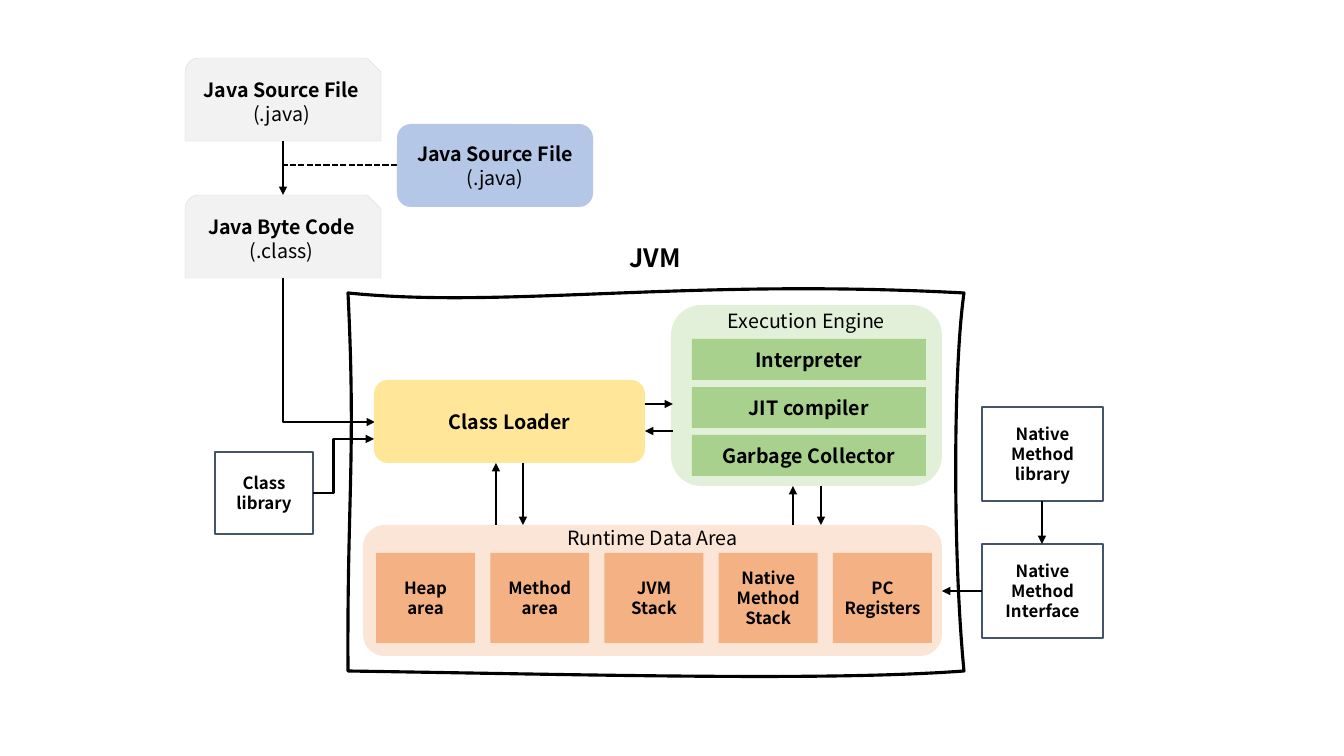
from lxml import etree
from pptx import Presentation
from pptx.dml.color import RGBColor
from pptx.enum.dml import MSO_LINE
from pptx.enum.shapes import MSO_CONNECTOR as LINK, MSO_SHAPE as SHAPE
from pptx.enum.text import MSO_ANCHOR as ANCHOR, PP_ALIGN as ALIGN
from pptx.oxml.ns import qn
from pptx.util import Pt

PIXEL = 914400 / 100.8
FONT = "Noto Sans CJK KR"
BLACK = RGBColor(0x00, 0x00, 0x00)
PALE_GRAY = RGBColor(0xF2, 0xF2, 0xF2)
GRAY = RGBColor(0xD9, 0xD9, 0xD9)
BLUE = RGBColor(0xB4, 0xC7, 0xE7)
YELLOW = RGBColor(0xFF, 0xE6, 0x99)
PALE_GREEN = RGBColor(0xE2, 0xF0, 0xD9)
GREEN = RGBColor(0xA9, 0xD1, 0x8E)
PALE_ORANGE = RGBColor(0xFB, 0xE5, 0xD6)
ORANGE = RGBColor(0xF4, 0xB1, 0x83)
SLATE = RGBColor(0x44, 0x54, 0x6A)

deck = Presentation()
deck.slide_width, deck.slide_height = round(1344 * PIXEL), round(756 * PIXEL)
page = deck.slides.add_slide(deck.slide_layouts[6])


def add_block(kind, place, lines, size=14, fill=None, outline=None, width=1.5, area=False):
    """Add a filled or outlined block; an area has its plain caption at the top."""
    box = page.shapes.add_shape(kind, *[round(n * PIXEL) for n in place])
    box.shadow.inherit = False
    if fill is None:
        box.fill.background()
    else:
        box.fill.solid()
        box.fill.fore_color.rgb = fill
    if outline is None:
        box.line.fill.background()
    else:
        box.line.color.rgb = outline
        box.line.width = Pt(width)
    frame = box.text_frame
    frame.word_wrap = True
    frame.vertical_anchor = ANCHOR.TOP if area else ANCHOR.MIDDLE
    frame.text = "\n".join(lines)
    for index, para in enumerate(frame.paragraphs):
        para.alignment = ALIGN.CENTER
        para.font.name, para.font.size = FONT, Pt(size)
        para.font.color.rgb = BLACK
        para.font.bold = index == 0 and not area
        if area:
            para.line_spacing = 0.5


def add_link(ends, kind=LINK.STRAIGHT, arrow=True):
    """Join two points with a black line, with an arrowhead at the second one."""
    link = page.shapes.add_connector(kind, *[round(n * PIXEL) for n in ends])
    link.line.color.rgb = BLACK
    link.line.width = Pt(1.5)
    if arrow:
        etree.SubElement(link.line._ln, qn("a:tailEnd"), type="triangle")
    etree.SubElement(link._element.spPr, qn("a:effectLst"))
    return link


# Source files and compilation
for top, lines in ((58, ("Java Source File", "(.java)")),
                   (195, ("Java Byte Code", "(.class)"))):
    add_block(SHAPE.SNIP_ROUND_RECTANGLE, (185, top, 196, 83), lines,
              fill=PALE_GRAY, outline=GRAY, width=0.25)
add_link((283, 141, 283, 195))
add_link((397, 165, 283, 165), arrow=False).line.dash_style = MSO_LINE.SQUARE_DOT
add_block(SHAPE.ROUNDED_RECTANGLE, (397, 124, 196, 83),
          ("Java Source File", "(.java)"), fill=BLUE)

# Class loader, with the one-bend arrow from the byte code
loader_link = add_link((401, 304, 257, 396), LINK.ELBOW)
loader_link._element.spPr.xfrm.set("rot", "16200000")
loader_link._element.spPr.find(qn("a:prstGeom")).set("prst", "bentConnector2")
add_block(SHAPE.ROUNDED_RECTANGLE, (374, 380, 271, 83), ("Class Loader",), fill=YELLOW)

# Hand-drawn JVM frame: each side is one cubic curve
builder = page.shapes.build_freeform(348, 293, scale=PIXEL)
builder.add_line_segments([
    (506, 309), (684, 278), (964, 293),
    (953, 371), (953, 557), (964, 671),
    (828, 681), (605, 675), (348, 671),
    (347, 498), (356, 456), (348, 293)], close=True)
jvm_frame = builder.convert_to_shape()
jvm_frame.shadow.inherit = False
jvm_frame.fill.background()
jvm_frame.line.color.rgb = BLACK
jvm_frame.line.width = Pt(2.25)
segments = list(jvm_frame._element.iter(qn("a:lnTo")))
for start in range(0, 12, 3):
    curve = etree.Element(qn("a:cubicBezTo"))
    segments[start].addprevious(curve)
    for segment in segments[start:start + 3]:
        curve.append(segment[0])
        segment.getparent().remove(segment)

jvm_label = page.shapes.add_textbox(*[round(n * PIXEL) for n in (619, 237, 72, 40)])
jvm_label.text_frame.word_wrap = False
para = jvm_label.text_frame.paragraphs[0]
para.text = "JVM"
para.alignment = ALIGN.CENTER
para.font.name, para.font.size, para.font.bold = FONT, Pt(18), True
para.font.color.rgb = BLACK

# Execution engine
add_block(SHAPE.ROUNDED_RECTANGLE, (671, 305, 271, 181), ("Execution Engine",),
          fill=PALE_GREEN, area=True)
for row, name in enumerate(("Interpreter", "JIT compiler", "Garbage Collector")):
    add_block(SHAPE.RECTANGLE, (692, 339 + 48 * row, 234, 41), (name,), fill=GREEN)

# Runtime data area
add_block(SHAPE.ROUNDED_RECTANGLE, (363, 525, 579, 131), ("Runtime Data Area",),
          fill=PALE_ORANGE, area=True)
for column, name in enumerate(("Heap area", "Method area", "JVM Stack",
                               "Native Method Stack", "PC Registers")):
    add_block(SHAPE.RECTANGLE, (376 + 114.25 * column, 553, 99, 90), (name,),
              size=12, fill=ORANGE)

# Native and class libraries
for place, name in (((215, 452, 98, 82), "Class library"),
                    ((982, 544, 121, 94), "Native Method Interface"),
                    ((982, 407, 121, 94), "Native Method library")):
    add_block(SHAPE.RECTANGLE, place, (name,), size=12, outline=SLATE)
library_link = add_link((313, 493, 374, 439), LINK.ELBOW)
library_link._element.spPr.find(qn("a:prstGeom")).get_or_add_avLst().append(
    etree.Element(qn("a:gd"), name="adj1", fmla="val 33700"))

# Straight arrows between the parts
for ends in ((645, 404, 673, 404), (673, 431, 645, 431),
             (523, 463, 523, 525), (496, 525, 496, 463),
             (821, 486, 821, 525), (793, 525, 793, 486),
             (1042, 501, 1042, 544), (982, 591, 942, 591)):
    add_link(ends)

deck.save("out.pptx")
